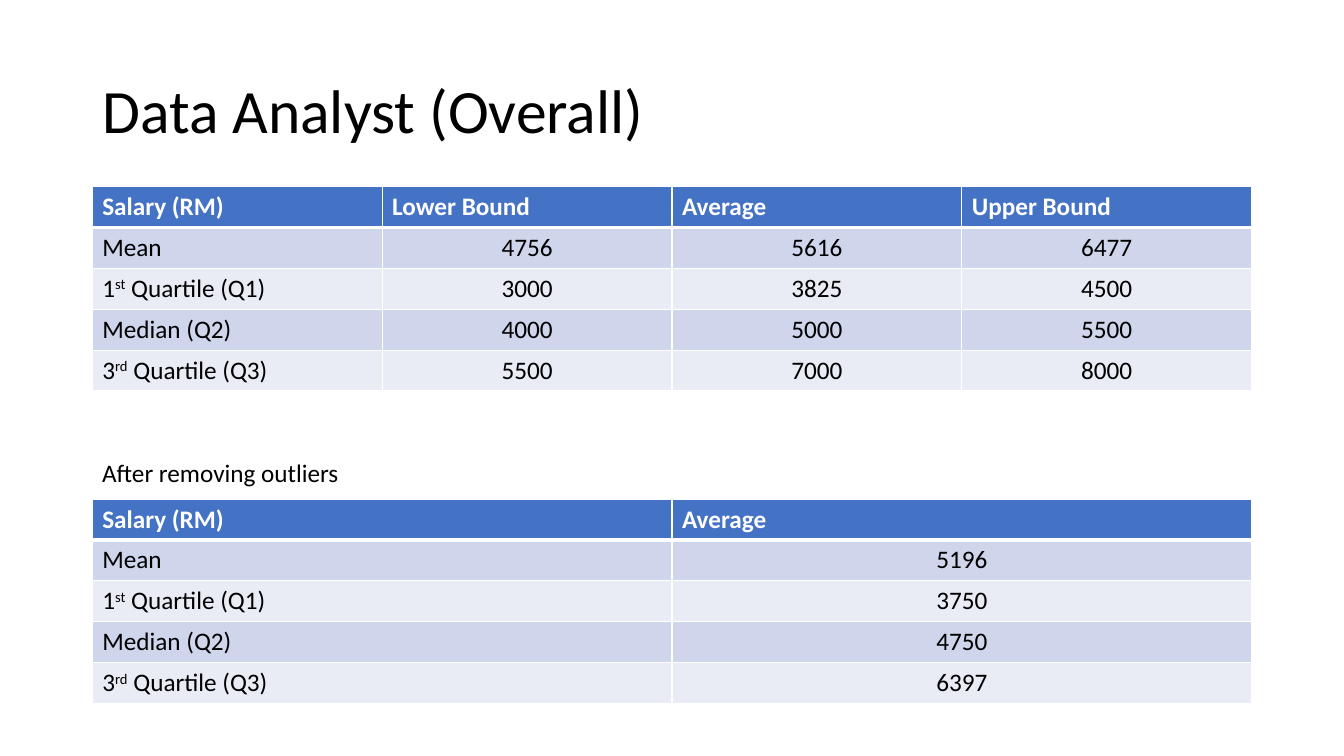
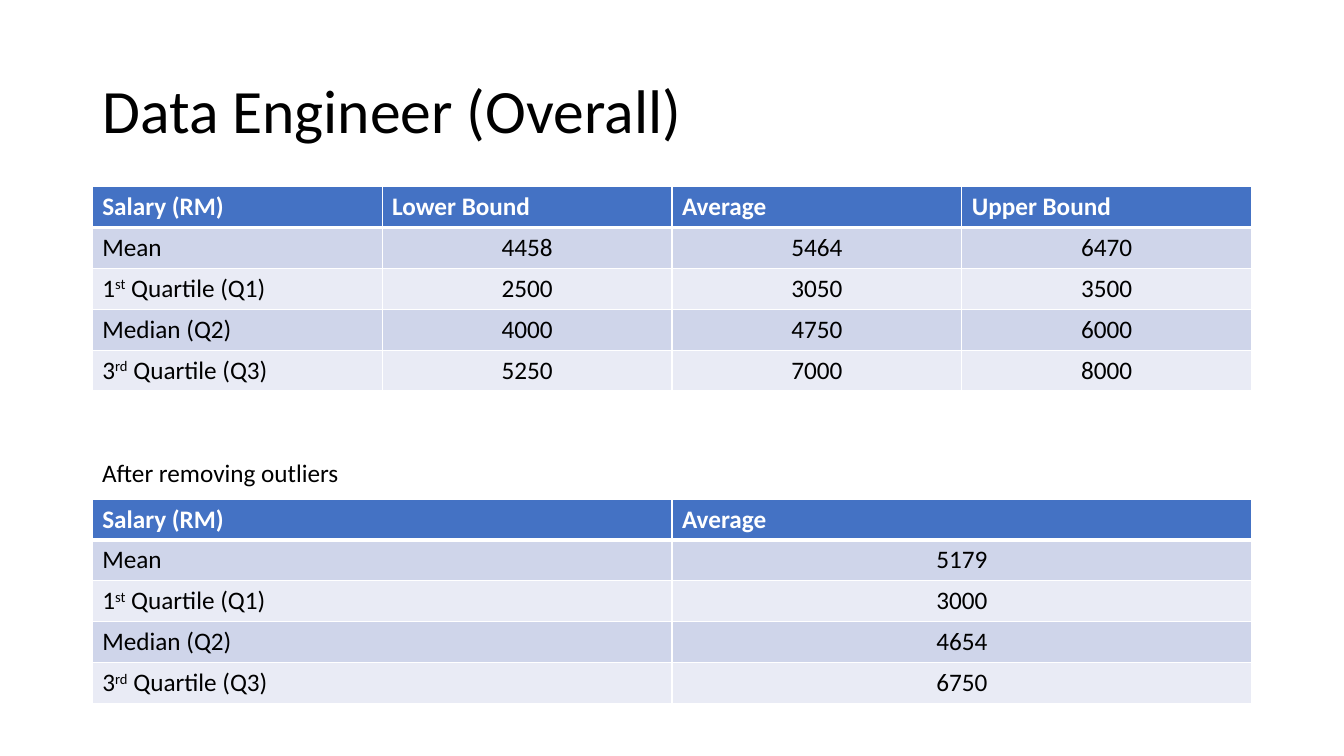
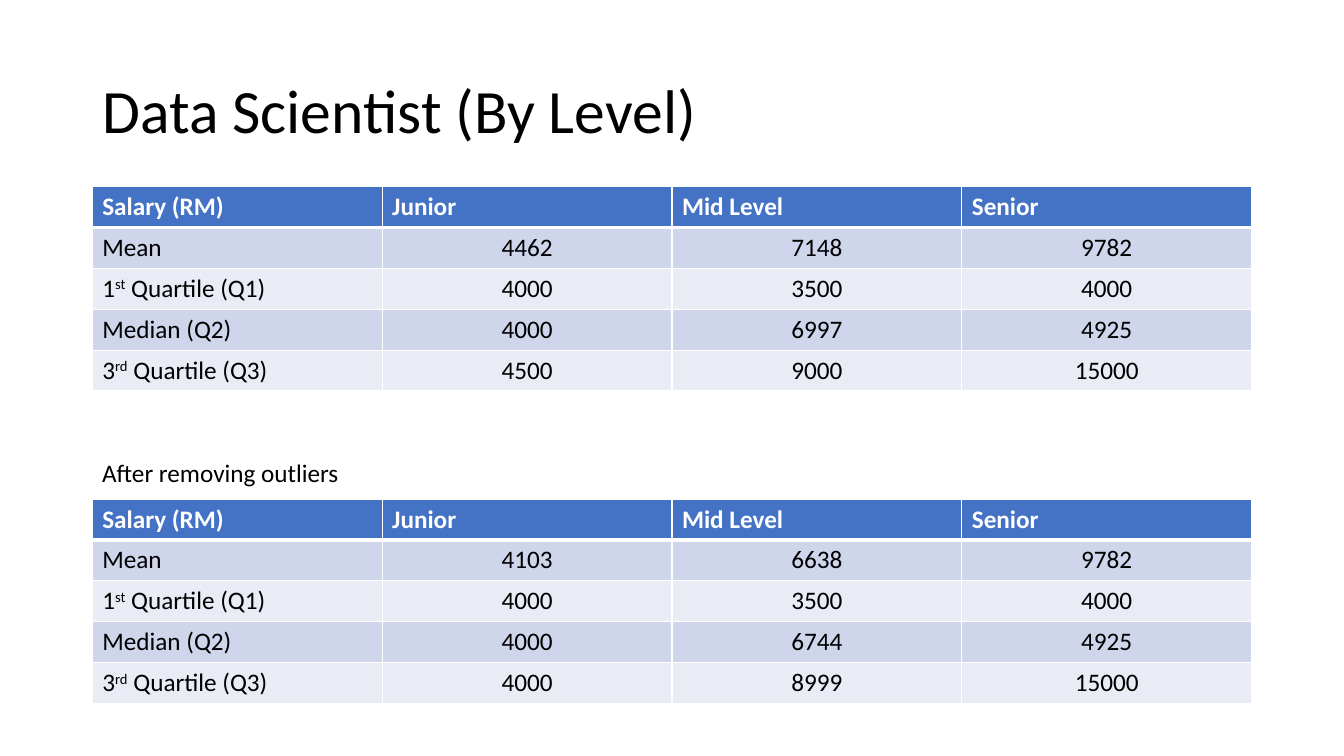
from dataclasses import dataclass

from lxml import etree
from pptx import Presentation, util as u
from pptx.dml import color
from pptx.enum import text
from pptx.oxml import ns


@dataclass(frozen=True)
class Theme:
    font: str = "Calibri"
    title_size: int = 44
    body_size: int = 18
    ink: str = "000000"
    paper: str = "FFFFFF"
    header: str = "4472C4"
    bands: tuple = ("CFD5EA", "E9EBF5")
    thin: int = 1
    thick: int = 3


THEME = Theme()

# Page grid in inches: one content column, stacked rows
PAGE_W, PAGE_H = 13.33, 7.5
CONTENT_W = 11.5
LEFT = (PAGE_W - CONTENT_W) / 2
ROW_H = 0.406
TITLE_TOP, TITLE_H = 0.4, 1.45
FULL_TOP = TITLE_TOP + TITLE_H
CAPTION_TOP, CAPTION_W, CAPTION_H = 4.49, 2.58, 0.4
TRIMMED_TOP = 4.95

# Row labels as (text, is superscript) pieces
STATISTICS = [
    [("Mean", False)],
    [("1", False), ("st", True), (" Quartile (Q1)", False)],
    [("Median (Q2)", False)],
    [("3", False), ("rd", True), (" Quartile (Q3)", False)],
]
BOUNDS = ["Lower Bound", "Average", "Upper Bound"]
LEVELS = ["Junior", "Mid Level", "Senior"]

# Title, full table and table without outliers: (headings, rows of values)
SALARY_SLIDES = [
    ("Data Analyst (Overall)",
     (BOUNDS, [[4756, 5616, 6477], [3000, 3825, 4500],
               [4000, 5000, 5500], [5500, 7000, 8000]]),
     (["Average"], [[5196], [3750], [4750], [6397]])),
    ("Data Engineer (Overall)",
     (BOUNDS, [[4458, 5464, 6470], [2500, 3050, 3500],
               [4000, 4750, 6000], [5250, 7000, 8000]]),
     (["Average"], [[5179], [3000], [4654], [6750]])),
    ("Data Scientist (By Level)",
     (LEVELS, [[4462, 7148, 9782], [4000, 3500, 4000],
               [4000, 6997, 4925], [4500, 9000, 15000]]),
     (LEVELS, [[4103, 6638, 9782], [4000, 3500, 4000],
               [4000, 6744, 4925], [4000, 8999, 15000]])),
]


def rgb(value):
    return color.RGBColor.from_string(value)


def box(left, top, width, height):
    return [u.Inches(length) for length in (left, top, width, height)]


def add_run(paragraph, words, size=THEME.body_size, ink=THEME.ink,
            bold=False, superscript=False):
    run = paragraph.add_run()
    run.text = words
    run.font.name = THEME.font
    run.font.size = u.Pt(size)
    run.font.bold = bold
    run.font.color.rgb = rgb(ink)
    if superscript:
        run._r.get_or_add_rPr().set("baseline", "30000")


def set_borders(cell, top, bottom):
    """Draw the four cell borders; they precede the fill in the XML."""
    properties = cell._tc.get_or_add_tcPr()
    widths = {"L": THEME.thin, "R": THEME.thin, "T": top, "B": bottom}
    for index, (side, width) in enumerate(widths.items()):
        line = etree.Element(ns.qn(f"a:ln{side}"), w=str(u.Pt(width)))
        fill = etree.SubElement(line, ns.qn("a:solidFill"))
        etree.SubElement(fill, ns.qn("a:srgbClr"), val=THEME.paper)
        properties.insert(index, line)


def style_cell(cell, fill, top=THEME.thin, bottom=THEME.thin):
    cell.fill.solid()
    cell.fill.fore_color.rgb = rgb(fill)
    set_borders(cell, top, bottom)
    return cell.text_frame.paragraphs[0]


def add_title(slide, words):
    title = slide.shapes.title
    title.left, title.top, title.width, title.height = box(
        LEFT, TITLE_TOP, CONTENT_W, TITLE_H)
    frame = title.text_frame
    frame.vertical_anchor = text.MSO_ANCHOR.MIDDLE
    frame.auto_size = text.MSO_AUTO_SIZE.NONE
    paragraph = frame.paragraphs[0]
    paragraph.alignment = text.PP_ALIGN.LEFT
    paragraph.line_spacing = 0.9
    add_run(paragraph, words, size=THEME.title_size)


def add_caption(slide, words):
    caption = slide.shapes.add_textbox(
        *box(LEFT, CAPTION_TOP, CAPTION_W, CAPTION_H))
    frame = caption.text_frame
    frame.word_wrap = False
    frame.auto_size = text.MSO_AUTO_SIZE.SHAPE_TO_FIT_TEXT
    add_run(frame.paragraphs[0], words)


def add_salary_table(slide, top, headings, values):
    headings = ["Salary (RM)", *headings]
    row_count = len(STATISTICS) + 1
    salaries = slide.shapes.add_table(
        row_count, len(headings),
        *box(LEFT, top, CONTENT_W, row_count * ROW_H)).table

    # Header row
    for column, heading in enumerate(headings):
        paragraph = style_cell(salaries.cell(0, column), THEME.header,
                               bottom=THEME.thick)
        add_run(paragraph, heading, ink=THEME.paper, bold=True)

    # One banded row per statistic
    for row, (label, amounts) in enumerate(zip(STATISTICS, values), start=1):
        band = THEME.bands[(row - 1) % len(THEME.bands)]
        upper = THEME.thick if row == 1 else THEME.thin
        paragraph = style_cell(salaries.cell(row, 0), band, top=upper)
        for words, superscript in label:
            add_run(paragraph, words, superscript=superscript)
        for column, amount in enumerate(amounts, start=1):
            paragraph = style_cell(salaries.cell(row, column), band, top=upper)
            paragraph.alignment = text.PP_ALIGN.CENTER
            add_run(paragraph, str(amount))


def main():
    deck = Presentation()
    deck.slide_width, deck.slide_height = u.Inches(PAGE_W), u.Inches(PAGE_H)
    title_only = deck.slide_layouts.get_by_name("Title Only")
    for title, full, trimmed in SALARY_SLIDES:
        slide = deck.slides.add_slide(title_only)
        add_title(slide, title)
        add_salary_table(slide, FULL_TOP, *full)
        add_caption(slide, "After removing outliers")
        add_salary_table(slide, TRIMMED_TOP, *trimmed)
    deck.save("out.pptx")


if __name__ == "__main__":
    main()
